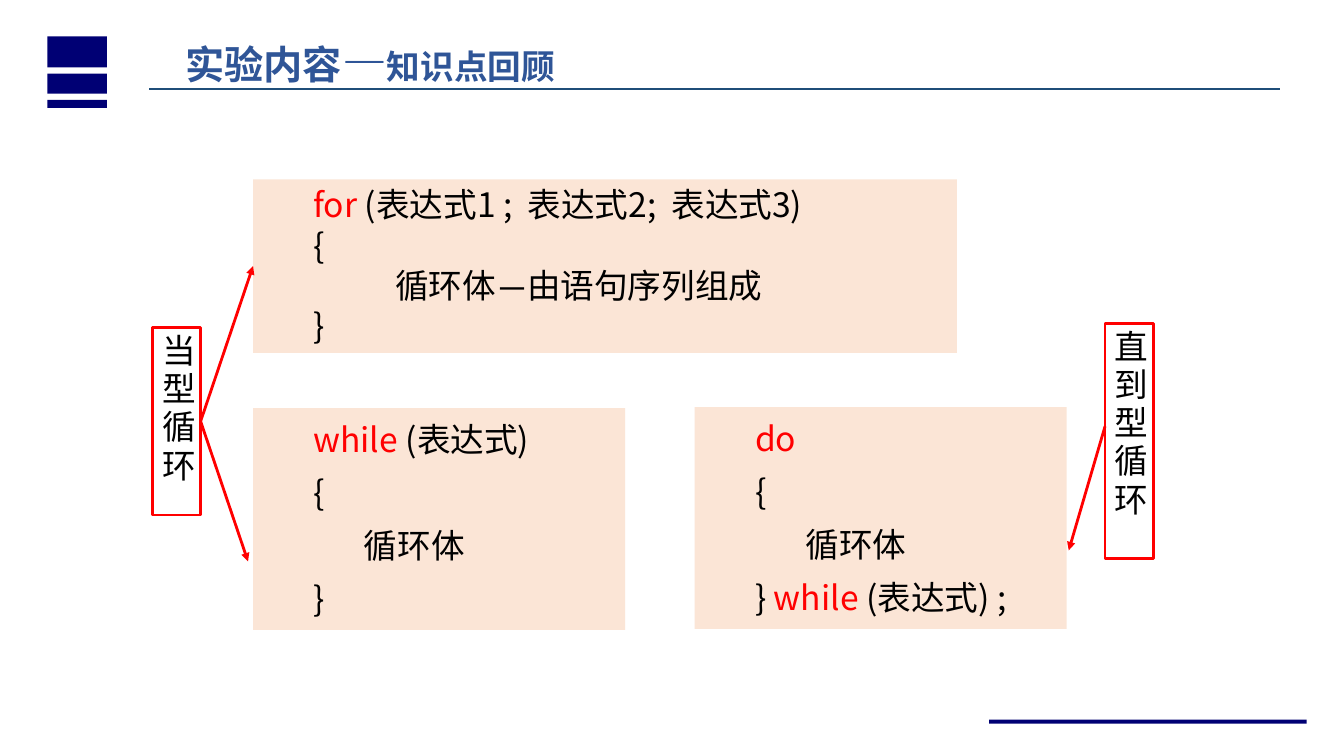
import pptx
import pptx.dml.color
import pptx.enum.shapes
import pptx.enum.text
import pptx.oxml
import pptx.oxml.ns
import pptx.util
from pptx.util import Inches

RGBColor = pptx.dml.color.RGBColor
NAVY = RGBColor(0x00, 0x00, 0x74)
TITLE_BLUE = RGBColor(0x2F, 0x55, 0x97)
RULE_BLUE = RGBColor(0x1F, 0x4E, 0x79)
PEACH = RGBColor(0xFB, 0xE5, 0xD6)
RED = RGBColor(0xFF, 0x00, 0x00)
BLACK = RGBColor(0x00, 0x00, 0x00)
FONT = "Noto Sans CJK SC"
ALIGN = pptx.enum.text.PP_ALIGN
ANCHOR = pptx.enum.text.MSO_ANCHOR


def add_text(paragraph, text, size=24, color=BLACK, bold=False):
    run = paragraph.add_run()
    run.text = text
    run.font.name = FONT
    run.font.size = pptx.util.Pt(size)
    run.font.bold = bold
    run.font.color.rgb = color
    east_asian = pptx.oxml.parse_xml(
        f'<a:ea {pptx.oxml.ns.nsdecls("a")} typeface="{FONT}"/>')
    run.font._element.find(pptx.oxml.ns.qn("a:latin")).addnext(east_asian)


class LoopSlide:
    def __init__(self, slide):
        self.slide = slide

    def title(self, left, top, width, height, parts):
        heading = self.slide.shapes.title
        heading.left, heading.top = Inches(left), Inches(top)
        heading.width, heading.height = Inches(width), Inches(height)
        frame = heading.text_frame
        frame.vertical_anchor = ANCHOR.TOP
        frame.auto_size = pptx.enum.text.MSO_AUTO_SIZE.NONE
        frame.paragraphs[0].alignment = ALIGN.LEFT
        for text, size in parts:
            add_text(frame.paragraphs[0], text, size=size, color=TITLE_BLUE, bold=True)

    def box(self, left, top, width, height, fill=None, line=None):
        box = self.slide.shapes.add_shape(
            pptx.enum.shapes.MSO_SHAPE.RECTANGLE,
            Inches(left), Inches(top), Inches(width), Inches(height))
        box.shadow.inherit = False
        if fill is None:
            box.fill.background()
        else:
            box.fill.solid()
            box.fill.fore_color.rgb = fill
        if line is None:
            box.line.fill.background()
        else:
            box.line.color.rgb = line
            box.line.width = pptx.util.Pt(2)
        box.text_frame.word_wrap = True
        box.text_frame.vertical_anchor = ANCHOR.TOP
        return box

    def code(self, left, top, width, height, lines, margin=0.5, indent=0, spacing=1.15, before=4.8):
        box = self.box(left, top, width, height, fill=PEACH)
        frame = box.text_frame
        for number, parts in enumerate(lines):
            paragraph = frame.add_paragraph() if number else frame.paragraphs[0]
            paragraph.alignment = ALIGN.LEFT
            paragraph.level = 1
            paragraph.line_spacing = spacing
            paragraph.space_before = pptx.util.Pt(before)
            properties = paragraph._p.get_or_add_pPr()
            properties.set("marL", str(Inches(margin)))
            properties.set("indent", str(Inches(indent)))
            for text, color in parts:
                add_text(paragraph, text, color=color)
        return box

    def label(self, left, top, width, height, text):
        box = self.box(left, top, width, height, line=RED)
        paragraph = box.text_frame.paragraphs[0]
        paragraph.alignment = ALIGN.CENTER
        paragraph.line_spacing = 0.95
        paragraph.space_before = pptx.util.Pt(4.8)
        paragraph.space_after = pptx.util.Pt(5.9)
        add_text(paragraph, text)
        return box

    def line(self, start, end, color=RED, width=2, arrow=True):
        line = self.slide.shapes.add_connector(
            pptx.enum.shapes.MSO_CONNECTOR.STRAIGHT, *map(Inches, start + end))
        line.line.color.rgb = color
        line.line.width = pptx.util.Pt(width)
        namespace = pptx.oxml.ns.nsdecls("a")
        if arrow:
            line.line._get_or_add_ln().append(
                pptx.oxml.parse_xml(f'<a:tailEnd {namespace} type="triangle"/>'))
        line._element.spPr.append(pptx.oxml.parse_xml(f"<a:effectLst {namespace}/>"))
        return line


def main():
    deck = pptx.Presentation()
    deck.slide_width, deck.slide_height = Inches(13.33), Inches(7.5)
    page = LoopSlide(deck.slides.add_slide(deck.slide_layouts[5]))

    for top, height in ((0.36, 0.31), (0.73, 0.2), (0.99, 0.08)):
        page.box(0.47, top, 0.59, height, fill=NAVY)
    page.box(9.81, 7.14, 3.15, 0.04, fill=NAVY)
    page.title(1.74, 0.29, 5.69, 0.64, [("实验内容", 28), ("—", 32), ("知识点回顾", 24)])
    page.line((1.48, 0.88), (12.7, 0.88), color=RULE_BLUE, width=1.25, arrow=False)

    opening, closing = [("{", BLACK)], [("}", BLACK)]
    body = [("\t循环体", BLACK)]
    for_loop = page.code(2.51, 1.78, 6.98, 1.72, [
        [("for", RED), (" (表达式1 ;  表达式2;  表达式3)", BLACK)],
        opening,
        [("\t\t循环体  ̶  由语句序列组成", BLACK)],
        closing,
    ], margin=0.81, indent=-0.31, spacing=1.0, before=0)
    page.code(6.89, 4.04, 3.69, 2.2, [
        [("do", RED)], opening, body,
        [("} ", BLACK), ("while ", RED), ("(表达式) ;", BLACK)],
    ])
    page.code(2.51, 4.05, 3.69, 2.2, [
        [("while ", RED), ("(表达式)", BLACK)], opening, body, closing,
    ])

    while_type = page.label(1.51, 3.25, 0.48, 1.86, "当型循环")
    page.label(10.96, 3.21, 0.48, 2.33, "直到型循环")
    to_for = page.line((2.01, 4.15), (2.48, 2.63))
    to_for.begin_connect(while_type, 3)
    to_for.end_connect(for_loop, 1)
    to_while = page.line((2, 4.15), (2.46, 5.57))
    to_while.begin_connect(while_type, 3)
    page.line((10.96, 4.23), (10.6, 5.46))

    deck.save("out.pptx")


if __name__ == "__main__":
    main()
